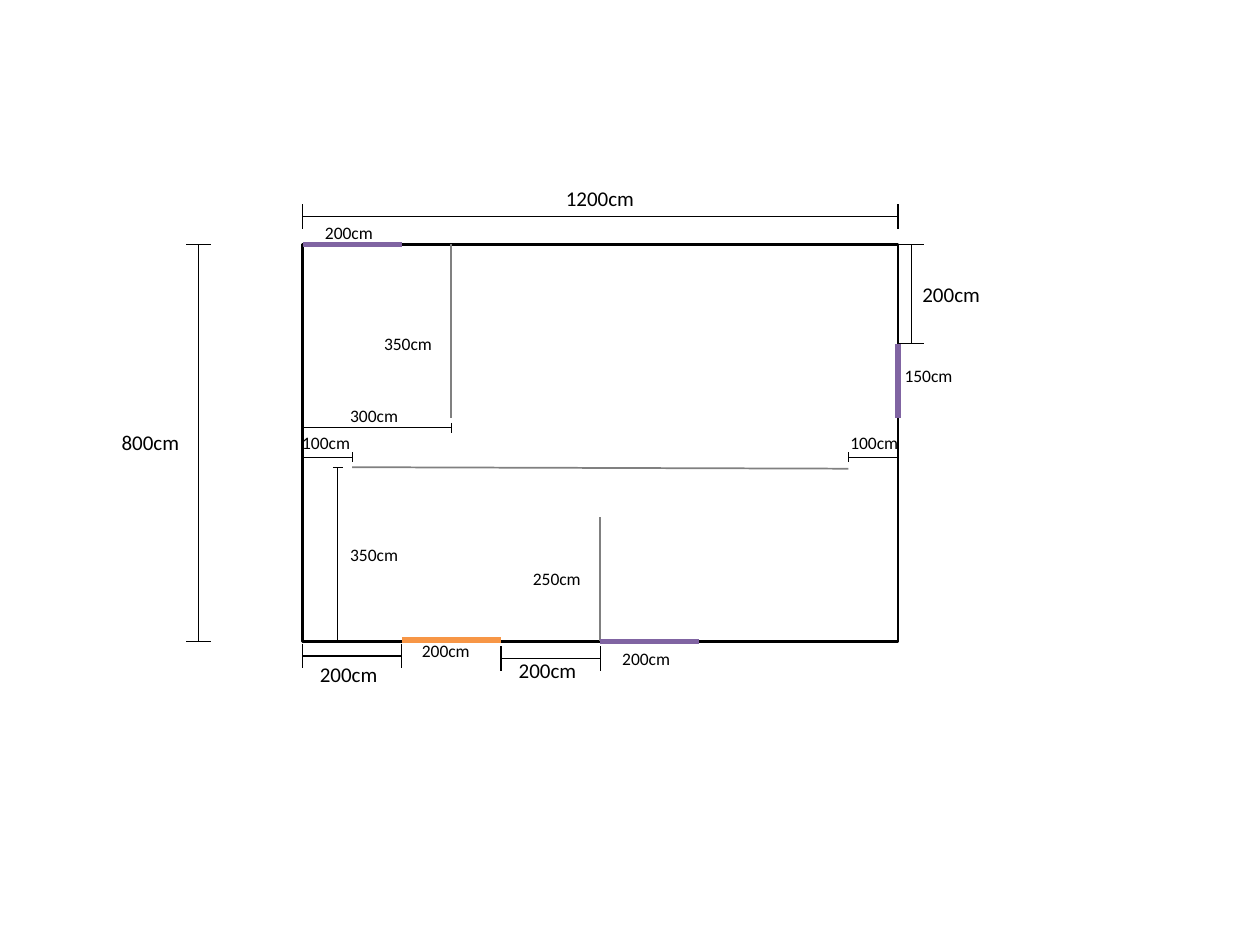
"""Builds a dimensioned floor plan of a 1200 by 800 cm room."""
from dataclasses import dataclass
from typing import NamedTuple

from lxml.etree import SubElement
from pptx import Presentation
from pptx.dml.color import RGBColor
from pptx.enum.shapes import MSO_CONNECTOR, MSO_SHAPE
from pptx.enum.text import MSO_AUTO_SIZE
from pptx.oxml.ns import qn
from pptx.util import Pt


@dataclass(frozen=True)
class Theme:
    """Colours, type sizes and line widths of the plan."""
    ink: str = "000000"
    partition: str = "808080"
    window: str = "8064A2"
    door: str = "F79646"
    font: str = "Calibri"
    large: float = 12
    small: float = 10
    thin: float = 0.75
    medium: float = 1
    wall: float = 1.5
    opening: float = 3


class Segment(NamedTuple):
    """A wall part between two plan points in centimetres."""
    start: tuple[float, float]
    end: tuple[float, float]
    color: str
    width: float


class Dimension(NamedTuple):
    """A measured span in plan centimetres, drawn at a fixed page position."""
    start: float
    end: float
    position: float
    cap: float
    vertical: bool = False


class Label(NamedTuple):
    """A measurement text with its box corner in points."""
    text: str
    left: float
    top: float
    size: float


THEME = Theme()
LEFT, TOP = 172.9, 139.7
SCALE = 0.2835
ROOM_WIDTH, ROOM_HEIGHT = 1200, 800
LARGE_CAP, SMALL_CAP = 14, 5.67

SEGMENTS = [
    Segment((200, 797), (400, 797), THEME.door, THEME.opening),
    Segment((300, 0), (300, 350), THEME.partition, THEME.medium),
    Segment((600, 550), (600, 800), THEME.partition, THEME.medium),
    Segment((100, 449), (1100, 452), THEME.partition, THEME.medium),
    Segment((0, 0), (200, 0), THEME.window, THEME.opening),
    Segment((600, 800), (800, 800), THEME.window, THEME.opening),
    Segment((1200, 200), (1200, 350), THEME.window, THEME.opening),
]

DIMENSIONS = [
    Dimension(0, 800, 113.4, LARGE_CAP, vertical=True),
    Dimension(0, 1200, 123.8, LARGE_CAP),
    Dimension(0, 200, 374.8, LARGE_CAP),
    Dimension(400, 600, 376.3, LARGE_CAP),
    Dimension(0, 200, 521, LARGE_CAP, vertical=True),
    Dimension(0, 300, 244.5, SMALL_CAP),
    Dimension(450, 800, 193, SMALL_CAP, vertical=True),
    Dimension(0, 100, 261.4, SMALL_CAP),
    Dimension(1100, 1200, 261.4, SMALL_CAP),
]

LABELS = [
    Label("800cm", 62.4, 241.9, THEME.large),
    Label("1200cm", 316.2, 102.4, THEME.large),
    Label("200cm", 175.7, 374.4, THEME.large),
    Label("200cm", 289.3, 372.4, THEME.large),
    Label("200cm", 520, 157.3, THEME.large),
    Label("200cm", 234, 362.2, THEME.small),
    Label("150cm", 509.8, 205.2, THEME.small),
    Label("200cm", 348.5, 366.5, THEME.small),
    Label("200cm", 178.6, 123.1, THEME.small),
    Label("300cm", 193, 228.2, THEME.small),
    Label("350cm", 193, 307.6, THEME.small),
    Label("250cm", 297.4, 321.2, THEME.small),
    Label("350cm", 212.4, 186.5, THEME.small),
    Label("100cm", 478.8, 243.4, THEME.small),
    Label("100cm", 165.6, 243.4, THEME.small),
]


def add_line(shapes, start: tuple[float, float], end: tuple[float, float],
             *, color: str, width: float) -> None:
    """Draw a straight line between two page points."""
    line = shapes.add_connector(MSO_CONNECTOR.STRAIGHT, *map(Pt, start + end))
    line.line.color.rgb = RGBColor.from_string(color)
    line.line.width = Pt(width)
    SubElement(line._element.spPr, qn("a:effectLst"))


def plan_point(point: tuple[float, float]) -> tuple[float, float]:
    """Convert plan centimetres to page points."""
    return LEFT + point[0] * SCALE, TOP + point[1] * SCALE


def add_room(shapes) -> None:
    """Draw the outer walls."""
    room = shapes.add_shape(MSO_SHAPE.RECTANGLE, Pt(LEFT), Pt(TOP),
                            Pt(ROOM_WIDTH * SCALE), Pt(ROOM_HEIGHT * SCALE))
    room.shadow.inherit = False
    room.fill.background()
    room.line.color.rgb = RGBColor.from_string(THEME.ink)
    room.line.width = Pt(THEME.wall)


def add_dimension(shapes, dimension: Dimension) -> None:
    """Draw a grouped dimension line with a cap at each end."""
    group = shapes.add_group_shape()
    origin = TOP if dimension.vertical else LEFT
    start, end = (origin + value * SCALE
                  for value in (dimension.start, dimension.end))
    near = dimension.position - dimension.cap / 2
    far = dimension.position + dimension.cap / 2
    lines = [
        ((start, near), (start, far)),
        ((end, near), (end, far)),
        ((start, dimension.position), (end, dimension.position)),
    ]
    for first, second in lines:
        if dimension.vertical:
            first, second = first[::-1], second[::-1]
        add_line(group.shapes, first, second, color=THEME.ink, width=THEME.thin)


def add_text(shapes, text: str, *, left: float, top: float, size: float,
             color: str = THEME.ink, font: str = THEME.font) -> None:
    """Place a one-line text box sized for its type size."""
    width, height = (54, 21.8) if size == THEME.large else (45.4, 19.4)
    box = shapes.add_textbox(Pt(left), Pt(top), Pt(width), Pt(height))
    frame = box.text_frame
    frame.word_wrap = True
    frame.auto_size = MSO_AUTO_SIZE.SHAPE_TO_FIT_TEXT
    run = frame.paragraphs[0].add_run()
    run.text = text
    run.font.name = font
    run.font.size = Pt(size)
    run.font.color.rgb = RGBColor.from_string(color)


def main() -> None:
    """Build and save the slide."""
    presentation = Presentation()
    presentation.slide_width, presentation.slide_height = Pt(720), Pt(540)
    slide = presentation.slides.add_slide(presentation.slide_layouts[6])
    add_room(slide.shapes)
    for segment in SEGMENTS:
        add_line(slide.shapes, plan_point(segment.start), plan_point(segment.end),
                 color=segment.color, width=segment.width)
    for dimension in DIMENSIONS:
        add_dimension(slide.shapes, dimension)
    for label in LABELS:
        add_text(slide.shapes, label.text, left=label.left, top=label.top,
                 size=label.size)
    presentation.save("out.pptx")


main()
